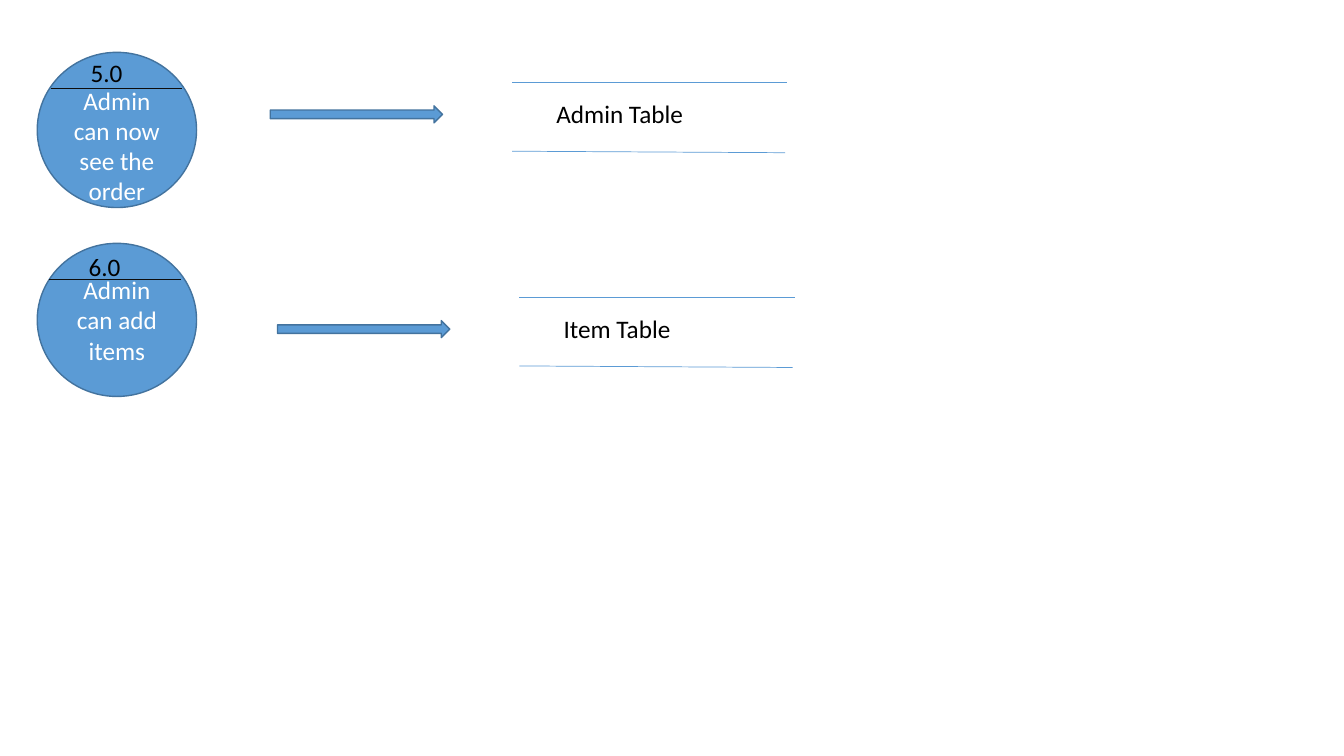
from dataclasses import dataclass

from lxml import etree
from pptx import Presentation
from pptx.dml.color import RGBColor
from pptx.enum.shapes import MSO_CONNECTOR, MSO_SHAPE
from pptx.enum.text import MSO_ANCHOR, MSO_AUTO_SIZE, PP_ALIGN
from pptx.oxml.ns import qn
from pptx.util import Pt

ELLIPSE = MSO_SHAPE.OVAL
RIGHT_ARROW = MSO_SHAPE.RIGHT_ARROW
STRAIGHT = MSO_CONNECTOR.STRAIGHT
MIDDLE = MSO_ANCHOR.MIDDLE
FIT_SHAPE = MSO_AUTO_SIZE.SHAPE_TO_FIT_TEXT
LEFT, CENTER = PP_ALIGN.LEFT, PP_ALIGN.CENTER


@dataclass(frozen=True)
class Theme:
    font: str = "Calibri"
    text_size: float = 18
    blue: str = "5B9BD5"
    outline: str = "43739E"
    divider: str = "0D0D0D"
    dark_text: str = "000000"
    light_text: str = "FFFFFF"
    outline_width: float = 1
    line_width: float = 0.5


class FlowDiagram:
    """Draws the parts of a data flow diagram; all lengths are in points."""

    def __init__(self, slide, theme):
        self.slide = slide
        self.theme = theme

    def add_text(self, text_frame, text, color, alignment):
        paragraph = text_frame.paragraphs[0]
        paragraph.alignment = alignment
        run = paragraph.add_run()
        run.text = text
        run.font.name = self.theme.font
        run.font.size = Pt(self.theme.text_size)
        run.font.color.rgb = RGBColor.from_string(color)

    def block(self, kind, left, top, width, height):
        shape = self.slide.shapes.add_shape(
            kind, Pt(left), Pt(top), Pt(width), Pt(height))
        shape.shadow.inherit = False
        shape.fill.solid()
        shape.fill.fore_color.rgb = RGBColor.from_string(self.theme.blue)
        shape.line.color.rgb = RGBColor.from_string(self.theme.outline)
        shape.line.width = Pt(self.theme.outline_width)
        return shape

    def line(self, x1, y1, x2, y2, color):
        connector = self.slide.shapes.add_connector(
            STRAIGHT, Pt(x1), Pt(y1), Pt(x2), Pt(y2))
        connector.line.color.rgb = RGBColor.from_string(color)
        connector.line.width = Pt(self.theme.line_width)
        properties = connector._element.spPr
        etree.SubElement(properties, qn("a:effectLst"))

    def label(self, text, left, top, width, indent=0):
        box = self.slide.shapes.add_textbox(
            Pt(left), Pt(top), Pt(width), Pt(29))
        text_frame = box.text_frame
        text_frame.word_wrap = False
        text_frame.auto_size = FIT_SHAPE
        text_frame.margin_left = Pt(7.2 + indent)
        self.add_text(text_frame, text, self.theme.dark_text, LEFT)

    def process(self, text, top, height, top_margin):
        shape = self.block(ELLIPSE, 26.6, top, 113.8, height)
        text_frame = shape.text_frame
        text_frame.word_wrap = True
        text_frame.vertical_anchor = MIDDLE
        text_frame.margin_top = Pt(top_margin)
        self.add_text(text_frame, text, self.theme.light_text, CENTER)

    def process_number(self, number, left, top, divider_left, divider_top):
        self.line(divider_left, divider_top, divider_left + 94, divider_top,
                  self.theme.divider)
        self.label(number, left, top, 37.4)

    def data_store(self, name, dx, dy, label_width):
        left = 365.8 + dx
        self.line(left, 59 + dy, left + 196.6, 59 + dy, self.theme.blue)
        self.line(left, 108 + dy, left + 195.1, 109.1 + dy, self.theme.blue)
        self.block(RIGHT_ARROW, 193 + dx, 75.6 + dy, 123.1, 12.2)
        self.label(name, left, 67 + dy, label_width, indent=24.4)


def main():
    presentation = Presentation()
    presentation.slide_width = Pt(960)
    presentation.slide_height = Pt(540)
    slide = presentation.slides.add_slide(presentation.slide_layouts[6])
    diagram = FlowDiagram(slide, Theme())

    # Processes with their numbers
    diagram.process("Admin can now see the order", 37.4, 110.9, 25.6)
    diagram.process_number("5.0", 57.6, 37.4, 36.3, 63.4)
    diagram.process("Admin can add items", 173.8, 109.4, 3.6)
    diagram.process_number("6.0", 56.2, 175.9, 35.3, 199.4)

    # Data stores, each with the arrow that leads to it
    diagram.data_store("Admin Table", 0, 0, 131)
    diagram.data_store("Item Table", 5.2, 153.4, 116.6)

    presentation.save("out.pptx")


if __name__ == "__main__":
    main()
